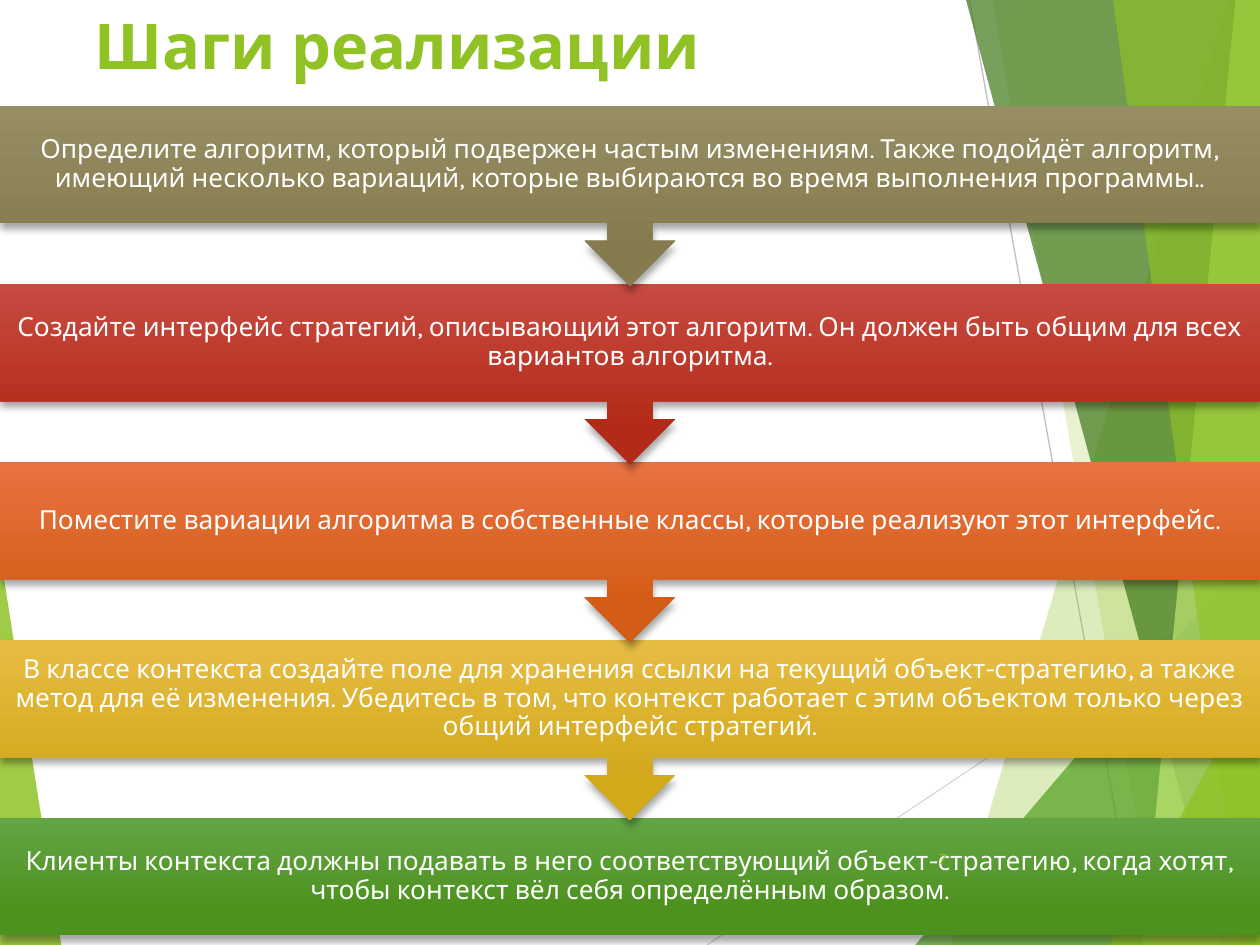
from lxml import etree
from pptx import Presentation
from pptx.dml.color import RGBColor
from pptx.enum.shapes import MSO_CONNECTOR, MSO_SHAPE
from pptx.enum.text import MSO_ANCHOR, MSO_AUTO_SIZE, PP_ALIGN
from pptx.oxml import parse_xml
from pptx.oxml.ns import qn
from pptx.util import Pt

WIDTH, HEIGHT = 720, 540
FONT = "Karla"
WHITE = RGBColor(0xFF, 0xFF, 0xFF)
LIME = RGBColor(0x90, 0xC2, 0x26)
GREEN = RGBColor(0x54, 0xA0, 0x21)
DARK_GREEN = RGBColor(0x3F, 0x78, 0x19)
PALE_LIME = RGBColor(0xC0, 0xE4, 0x74)
GREY = RGBColor(0xBF, 0xBF, 0xBF)
LIGHT_GREY = RGBColor(0xD9, 0xD9, 0xD9)

SHADOW_XML = (
    '<a:outerShdw xmlns:a="http://schemas.openxmlformats.org/drawingml/2006/main" '
    'blurRad="50800" dist="38100" dir="5400000" rotWithShape="0">'
    '<a:srgbClr val="000000"><a:alpha val="35000"/></a:srgbClr></a:outerShdw>'
)

# Each step: text, colour at the top, colour at the bottom
STEPS = [
    ("Определите алгоритм, который подвержен частым изменениям. Также подойдёт "
     "алгоритм, имеющий несколько вариаций, которые выбираются во время "
     "выполнения программы..",
     RGBColor(0x98, 0x8E, 0x64), RGBColor(0x85, 0x7B, 0x4E)),
    ("Создайте интерфейс стратегий, описывающий этот алгоритм. Он должен быть "
     "общим для всех вариантов алгоритма.",
     RGBColor(0xC7, 0x4B, 0x42), RGBColor(0xB3, 0x2B, 0x18)),
    ("Поместите вариации алгоритма в собственные классы, которые реализуют этот "
     "интерфейс.",
     RGBColor(0xE8, 0x72, 0x42), RGBColor(0xD3, 0x5D, 0x16)),
    ("В классе контекста создайте поле для хранения ссылки на текущий "
     "объект-стратегию, а также метод для её изменения. Убедитесь в том, что "
     "контекст работает с этим объектом только через общий интерфейс стратегий.",
     RGBColor(0xE7, 0xBC, 0x43), RGBColor(0xD2, 0xA9, 0x1B)),
    ("Клиенты контекста должны подавать в него соответствующий "
     "объект-стратегию, когда хотят, чтобы контекст вёл себя определённым "
     "образом.",
     RGBColor(0x63, 0xA5, 0x45), RGBColor(0x4D, 0x92, 0x1E)),
]


def write(frame, text, size, color, align, bold=False):
    para = frame.paragraphs[0]
    para.alignment = align
    span = para.add_run()
    span.text = text
    span.font.name = FONT
    span.font.size = Pt(size)
    span.font.bold = bold
    span.font.color.rgb = color
    return para


def add_facet(page, points, color, opacity):
    """Draw a translucent polygon; opacity is in percent."""
    corners = [(Pt(x), Pt(y)) for x, y in points]
    builder = page.shapes.build_freeform(*corners[0])
    builder.add_line_segments(corners[1:], close=True)
    facet = builder.convert_to_shape()
    facet.shadow.inherit = False
    facet.line.fill.background()
    facet.fill.solid()
    facet.fill.fore_color.rgb = color
    rgb = facet.fill._xPr.find(".//" + qn("a:srgbClr"))
    etree.SubElement(rgb, qn("a:alpha")).set("val", str(opacity * 1000))


def add_hairline(page, x1, y1, x2, y2, color):
    line = page.shapes.add_connector(
        MSO_CONNECTOR.STRAIGHT, Pt(x1), Pt(y1), Pt(x2), Pt(y2))
    line.line.color.rgb = color
    line.line.width = Pt(0.75)
    etree.SubElement(line._element.spPr, qn("a:effectLst"))


def add_backdrop(page, left, top, width, height):
    right, bottom = left + width, top + height
    right_edge = [(right, bottom), (right, top)]

    def band(top_x, bottom_x):
        """Corners of a band from a slanted side to the right edge."""
        return [(left + top_x, top), (left + bottom_x, bottom)] + right_edge

    def corner(bottom_x, right_y):
        """Corners of a triangle at the bottom right."""
        return [(left + bottom_x, bottom), (right, top + right_y), (right, bottom)]

    add_facet(page, [(left, top + 316), (left + 35, bottom), (left, bottom)],
              LIME, 85)
    add_hairline(page, left + 404, bottom, right, top + 329, LIGHT_GREY)
    add_hairline(page, left + 554, top, left + 651, bottom, GREY)
    for points, color, opacity in [
        (band(702, 543), LIME, 30),
        (band(567, 662), LIME, 20),
        (corner(523, 309), GREEN, 72),
        (band(552, 698), DARK_GREEN, 70),
        (band(706, 653), PALE_LIME, 70),
        (band(636, 710), LIME, 65),
        (corner(634, 385), LIME, 80),
    ]:
        add_facet(page, points, color, opacity)


def add_title(page, left, top, width, height):
    title = page.shapes.title
    title.left, title.top = Pt(left), Pt(top)
    title.width, title.height = Pt(width), Pt(height)
    frame = title.text_frame
    frame.auto_size = MSO_AUTO_SIZE.NONE
    frame.vertical_anchor = MSO_ANCHOR.TOP
    write(frame, "Шаги реализации", 36, LIME, PP_ALIGN.LEFT, bold=True)


def add_step(page, kind, left, top, width, height, step):
    text, upper, lower = step
    box = page.shapes.add_shape(kind, Pt(left), Pt(top), Pt(width), Pt(height))
    box.line.fill.background()
    box.fill.gradient()
    box.fill.gradient_angle = 270
    for stop, position, color in zip(
            box.fill.gradient_stops, (0, 0.78), (upper, lower)):
        stop.position = position
        stop.color.rgb = color
    box.shadow.inherit = False
    effects = box._element.spPr.find(qn("a:effectLst"))
    effects.append(parse_xml(SHADOW_XML))

    frame = box.text_frame
    frame.word_wrap = True
    frame.vertical_anchor = MSO_ANCHOR.MIDDLE
    frame.margin_left = frame.margin_right = Pt(8.5)
    frame.margin_top = frame.margin_bottom = Pt(8.5)
    para = write(frame, text, 15, WHITE, PP_ALIGN.CENTER)
    para.line_spacing = 0.9


def add_process(page, left, top, width, height):
    """Stack the steps from the bottom up, so each arrow lies over the next step."""
    bar, callout = 67, 103
    pitch = (height - bar) / (len(STEPS) - 1)
    last = len(STEPS) - 1
    for index in range(last, -1, -1):
        kind, step_height = MSO_SHAPE.DOWN_ARROW_CALLOUT, callout
        if index == last:
            kind, step_height = MSO_SHAPE.RECTANGLE, bar
        add_step(page, kind, left, top + index * pitch, width, step_height,
                 STEPS[index])


def add_page_number(page, left, top, width, height):
    box = page.shapes.add_textbox(Pt(left), Pt(top), Pt(width), Pt(height))
    frame = box.text_frame
    frame.word_wrap = True
    frame.vertical_anchor = MSO_ANCHOR.MIDDLE
    write(frame, "7", 9, LIME, PP_ALIGN.RIGHT)


def main():
    deck = Presentation()
    deck.slide_width, deck.slide_height = Pt(WIDTH), Pt(HEIGHT)
    page = deck.slides.add_slide(deck.slide_layouts[5])
    add_backdrop(page, 0, 0, WIDTH, HEIGHT)
    add_title(page, 47, 0, 500, 104)
    add_process(page, 0, 60.5, WIDTH, 474)
    add_page_number(page, 507.5, 476, 40.5, 29)
    deck.save("out.pptx")


if __name__ == "__main__":
    main()
